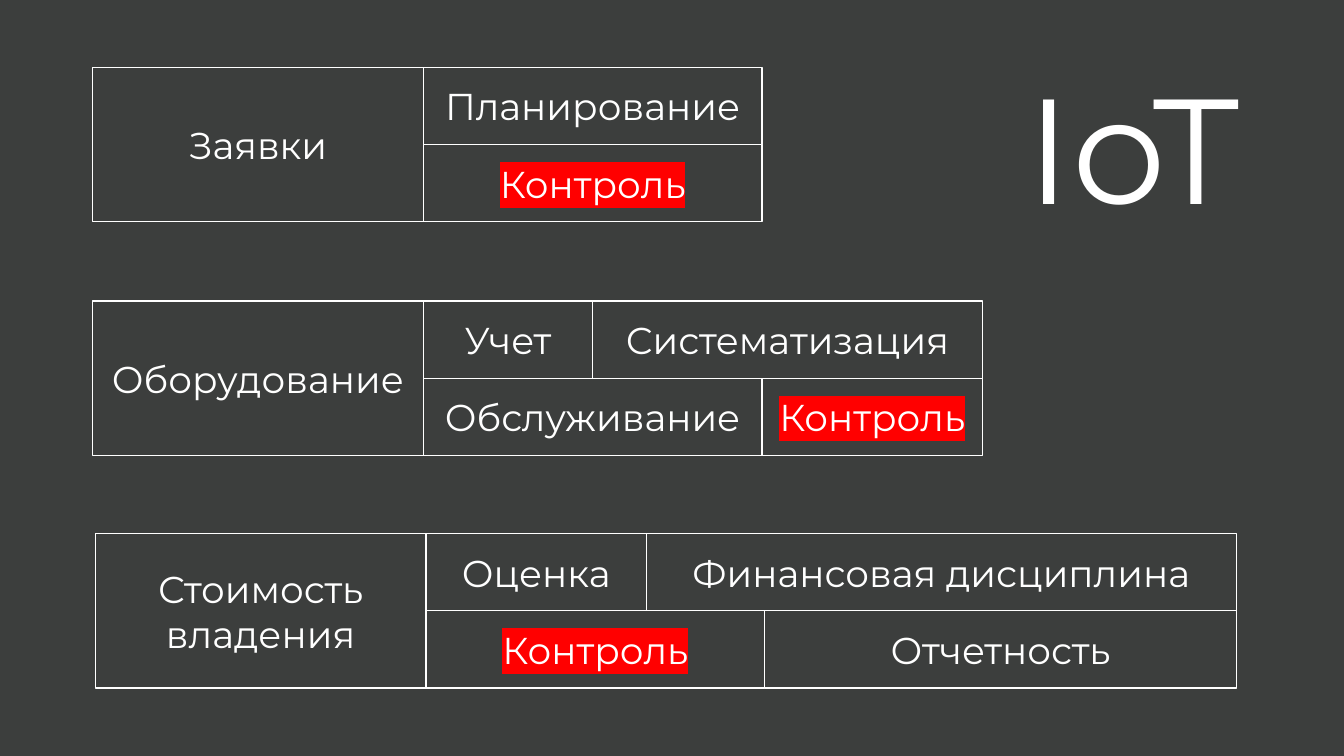
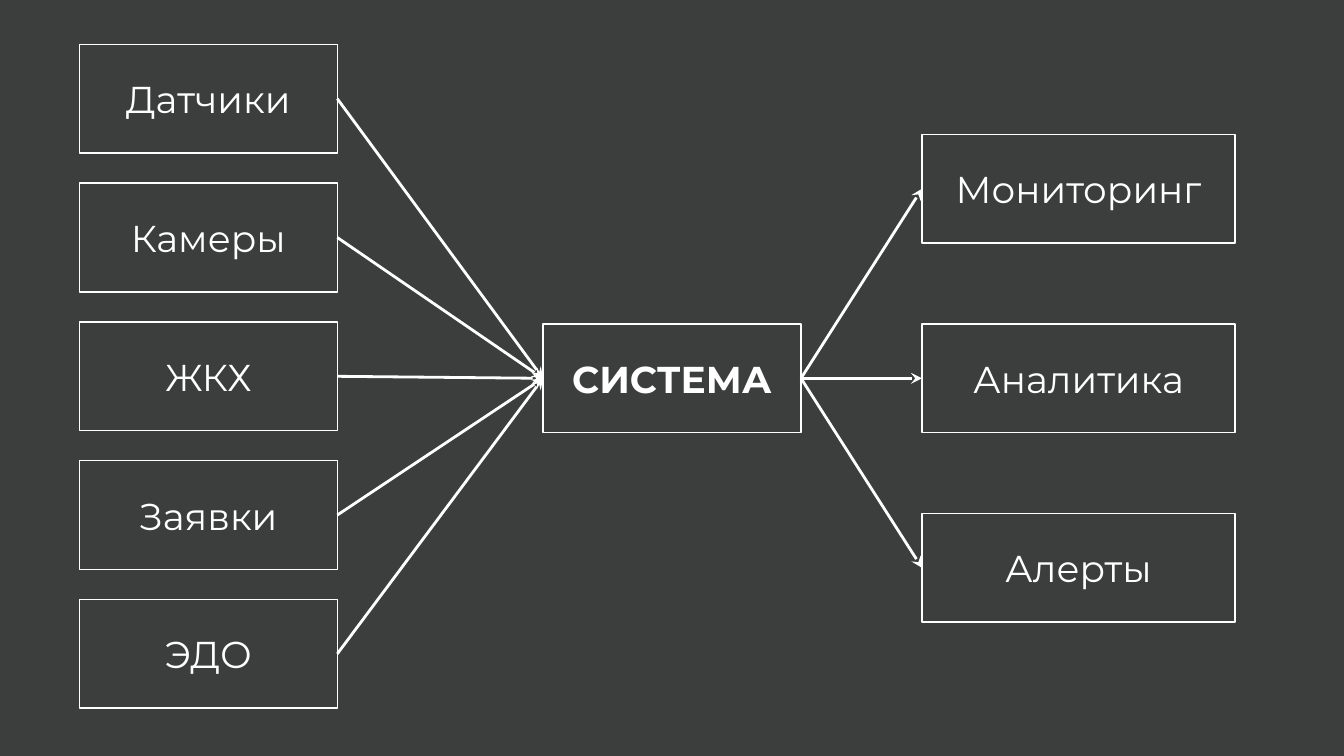
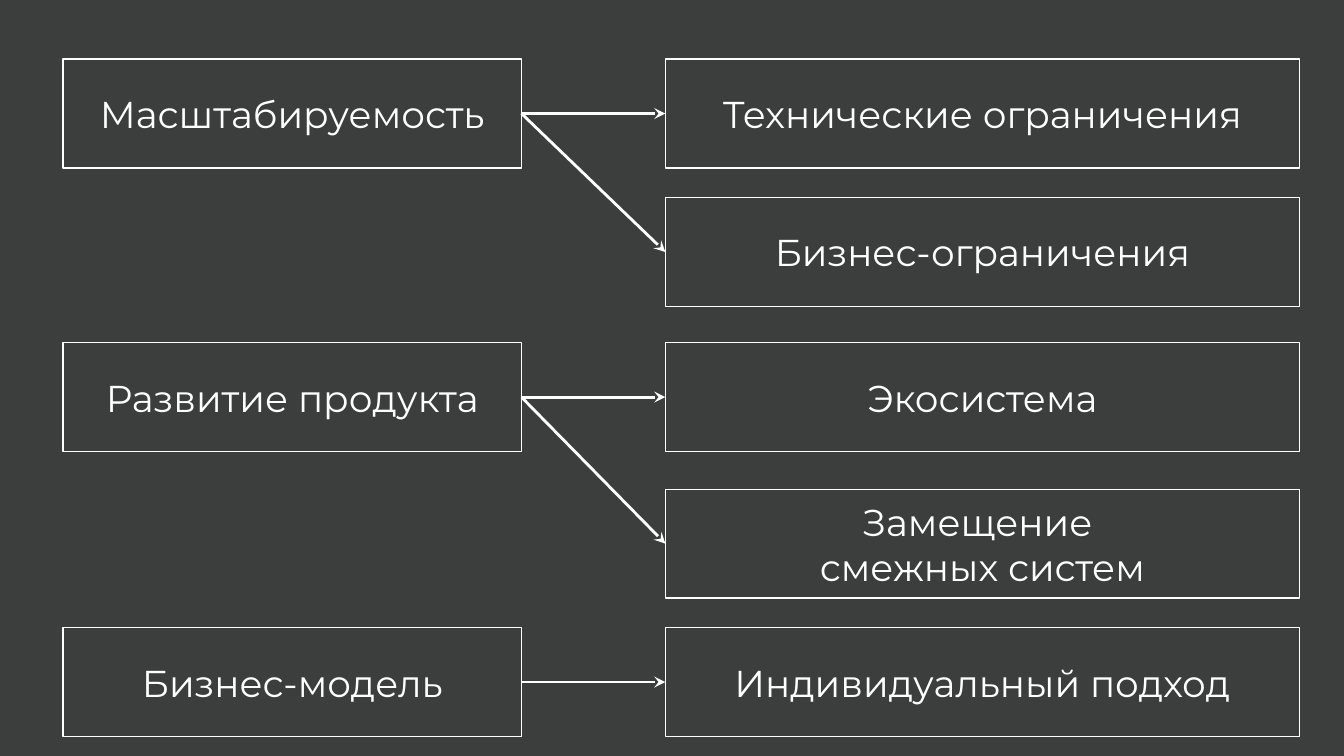
from dataclasses import dataclass

from lxml.etree import SubElement
from pptx import Presentation
from pptx.dml.color import RGBColor
from pptx.enum.shapes import MSO_CONNECTOR, MSO_SHAPE
from pptx.enum.text import MSO_ANCHOR, MSO_AUTO_SIZE, PP_ALIGN
from pptx.oxml.ns import qn
from pptx.util import Inches, Pt


@dataclass(frozen=True)
class Theme:
    background: str = "3C3E3D"
    foreground: str = "FFFFFF"
    highlight: str = "FF0000"
    font: str = "Montserrat"
    title_size: int = 80
    label_size: int = 20
    outline: float = 0.75
    arrow: float = 1.5
    inset: float = 0.1
    box_height: float = 0.81


THEME = Theme()
RIGHT_SIDE, LEFT_SIDE = 3, 1
TITLE_ONLY, BLANK = 5, 6


def format_text(text_frame, size, bold=False):
    text_frame.word_wrap = True
    text_frame.auto_size = MSO_AUTO_SIZE.NONE
    text_frame.vertical_anchor = MSO_ANCHOR.MIDDLE
    text_frame.margin_left = text_frame.margin_right = Inches(THEME.inset)
    text_frame.margin_top = text_frame.margin_bottom = Inches(THEME.inset)
    for paragraph in text_frame.paragraphs:
        paragraph.alignment = PP_ALIGN.CENTER
        paragraph.font.name = THEME.font
        paragraph.font.size = Pt(size)
        paragraph.font.bold = bold
        paragraph.font.color.rgb = RGBColor.from_string(THEME.foreground)


def highlight_text(text_frame):
    for paragraph in text_frame.paragraphs:
        for run in paragraph.runs:
            highlight = SubElement(run._r.get_or_add_rPr(), qn("a:highlight"))
            SubElement(highlight, qn("a:srgbClr"), val=THEME.highlight)


def add_box(slide, text, left, top, width, height=THEME.box_height, bold=False):
    box = slide.shapes.add_shape(
        MSO_SHAPE.RECTANGLE, Inches(left), Inches(top), Inches(width), Inches(height))
    box.shadow.inherit = False
    box.fill.background()
    box.line.color.rgb = RGBColor.from_string(THEME.foreground)
    box.line.width = Pt(THEME.outline)
    box.text_frame.text = text
    format_text(box.text_frame, THEME.label_size, bold)
    return box


def add_column(slide, labels, left, top, width, pitch):
    return [add_box(slide, label, left, top + index * pitch, width)
            for index, label in enumerate(labels)]


def add_arrow(slide, source, target):
    """Join the right side of source to the left side of target."""
    arrow = slide.shapes.add_connector(MSO_CONNECTOR.STRAIGHT, 0, 0, 0, 0)
    arrow.begin_connect(source, RIGHT_SIDE)
    arrow.end_connect(target, LEFT_SIDE)
    arrow.line.color.rgb = RGBColor.from_string(THEME.foreground)
    arrow.line.width = Pt(THEME.arrow)
    properties = arrow.element.spPr
    SubElement(properties.find(qn("a:ln")), qn("a:tailEnd"), type="stealth")
    SubElement(properties, qn("a:effectLst"))


def add_process_block(slide, name, rows, left, top, highlighted="Контроль"):
    """Draw a named cell with rows of (label, width) cells to its right."""
    name_width, height = 2.46, 1.15
    row_height = height / len(rows)
    add_box(slide, name, left, top, name_width, height)
    for index, row in enumerate(rows):
        cell_left = left + name_width
        for label, width in row:
            cell = add_box(slide, label, cell_left, top + index * row_height, width, row_height)
            if label == highlighted:
                highlight_text(cell.text_frame)
            cell_left += width


def add_branch(slide, source_text, target_texts, top, pitch):
    source = add_box(slide, source_text, 0.47, top, 3.41)
    for target in add_column(slide, target_texts, 4.95, top, 4.72, pitch):
        add_arrow(slide, source, target)


def build_processes_slide(presentation):
    slide = presentation.slides.add_slide(presentation.slide_layouts[TITLE_ONLY])
    title = slide.shapes.title
    title.left, title.top = Inches(7.15), Inches(0.32)
    title.width, title.height = Inches(2.56), Inches(1.51)
    title.text_frame.text = "IoT"
    format_text(title.text_frame, THEME.title_size)

    add_process_block(slide, "Заявки", [
        [("Планирование", 2.52)],
        [("Контроль", 2.52)],
    ], 0.69, 0.5)
    add_process_block(slide, "Оборудование", [
        [("Учет", 1.26), ("Систематизация", 2.9)],
        [("Обслуживание", 2.52), ("Контроль", 1.64)],
    ], 0.69, 2.24)
    add_process_block(slide, "Стоимость владения", [
        [("Оценка", 1.64), ("Финансовая дисциплина", 4.39)],
        [("Контроль", 2.52), ("Отчетность", 3.51)],
    ], 0.71, 3.97)


def build_system_slide(presentation):
    slide = presentation.slides.add_slide(presentation.slide_layouts[BLANK])
    system = add_box(slide, "СИСТЕМА", 4.04, 2.41, 1.92, bold=True)
    inputs = ["Датчики", "Камеры", "ЖКХ", "Заявки", "ЭДО"]
    input_pitch = (4.46 - 0.33) / (len(inputs) - 1)
    for source in add_column(slide, inputs, 0.59, 0.33, 1.92, input_pitch):
        add_arrow(slide, source, system)
    outputs = ["Мониторинг", "Аналитика", "Алерты"]
    for target in add_column(slide, outputs, 6.86, 1, 2.33, pitch=1.41):
        add_arrow(slide, system, target)


def build_challenges_slide(presentation):
    slide = presentation.slides.add_slide(presentation.slide_layouts[BLANK])
    add_branch(slide, "Масштабируемость",
               ["Технические ограничения", "Бизнес-ограничения"], 0.44, 1.03)
    add_branch(slide, "Развитие продукта",
               ["Экосистема", "Замещение \nсмежных систем"], 2.55, 1.09)
    add_branch(slide, "Бизнес-модель", ["Индивидуальный подход"], 4.67, 0)


def main():
    presentation = Presentation()
    presentation.slide_width = Inches(10)
    presentation.slide_height = Inches(10 * 9 / 16)
    background = presentation.slide_master.background.fill
    background.solid()
    background.fore_color.rgb = RGBColor.from_string(THEME.background)
    build_processes_slide(presentation)
    build_system_slide(presentation)
    build_challenges_slide(presentation)
    presentation.save("out.pptx")


if __name__ == "__main__":
    main()
